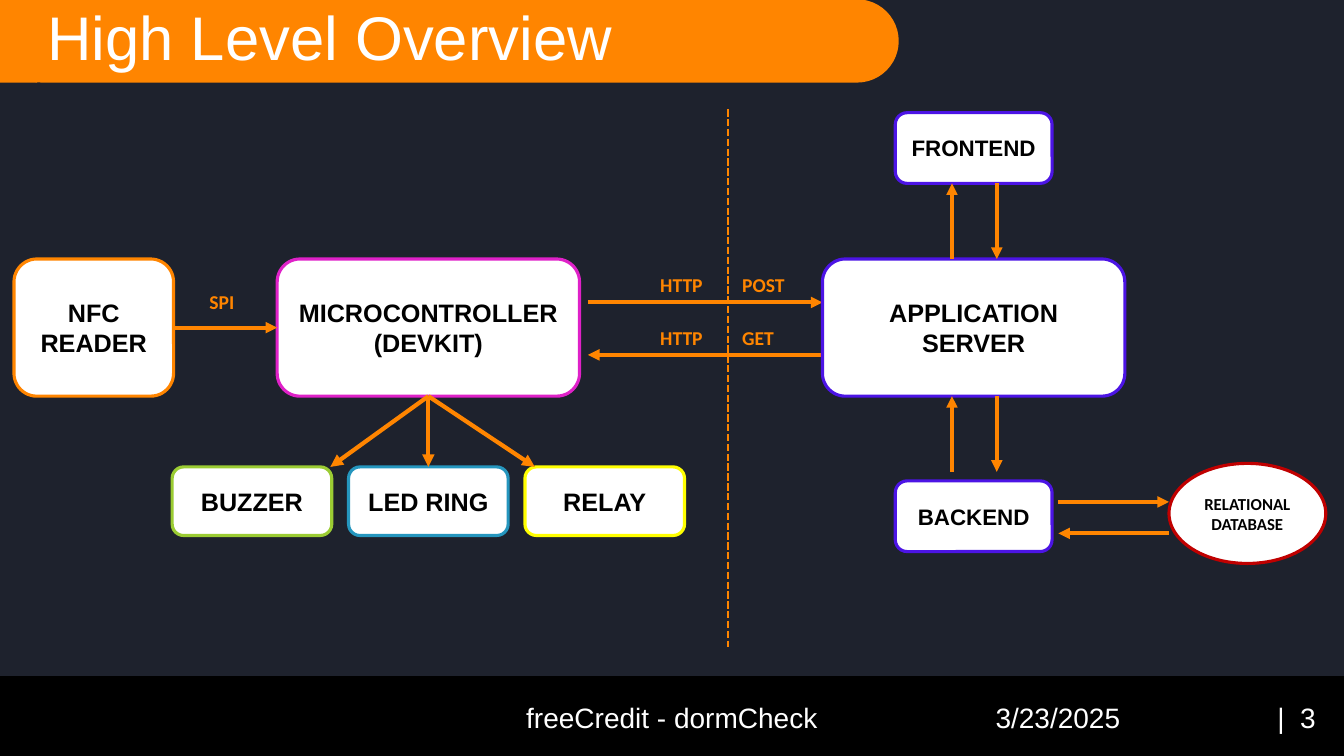
from collections import namedtuple

from lxml.etree import SubElement
from pptx import Presentation
from pptx.dml.color import RGBColor
from pptx.enum.dml import MSO_LINE
from pptx.enum.shapes import MSO_CONNECTOR, MSO_SHAPE
from pptx.enum.text import MSO_ANCHOR, MSO_AUTO_SIZE, PP_ALIGN
from pptx.oxml.ns import qn
from pptx.util import Pt

NAVY = RGBColor(0x1E, 0x22, 0x2D)
ORANGE = RGBColor(0xFF, 0x85, 0x00)
WHITE = RGBColor(0xFF, 0xFF, 0xFF)
BLACK = RGBColor(0x00, 0x00, 0x00)
MAGENTA = RGBColor(0xDF, 0x21, 0xC8)
GREEN = RGBColor(0x9B, 0xCC, 0x33)
BLUE = RGBColor(0x25, 0x96, 0xBE)
YELLOW = RGBColor(0xFF, 0xFF, 0x00)
VIOLET = RGBColor(0x4C, 0x14, 0xE5)
RED = RGBColor(0xC0, 0x00, 0x00)

Box = namedtuple("Box", "left top width height")


def points(*lengths):
    """Turn numbers into lengths in points."""
    return [Pt(length) for length in lengths]


def style_text(frame, size, color, font="Arial", bold=False, align=PP_ALIGN.LEFT):
    """Format every paragraph of a text frame alike."""
    for paragraph in frame.paragraphs:
        paragraph.alignment = align
        paragraph.font.name = font
        paragraph.font.size = Pt(size)
        paragraph.font.bold = bold
        paragraph.font.color.rgb = color


def add_panel(slide, kind, box, fill):
    """Add a shape with a plain fill and no outline."""
    shape = slide.shapes.add_shape(kind, *points(*box))
    shape.shadow.inherit = False
    shape.fill.solid()
    shape.fill.fore_color.rgb = fill
    shape.line.fill.background()
    return shape


def add_node(slide, box, text, outline, size=18, font="Arial",
             kind=MSO_SHAPE.ROUNDED_RECTANGLE, wrap=True):
    """Add a white, outlined and labelled node."""
    shape = add_panel(slide, kind, box, WHITE)
    shape.line.color.rgb = outline
    shape.line.width = Pt(2.25)
    frame = shape.text_frame
    frame.text = text
    frame.word_wrap = wrap
    frame.vertical_anchor = MSO_ANCHOR.MIDDLE
    style_text(frame, size, BLACK, font, True, PP_ALIGN.CENTER)
    return shape


def add_line(slide, start, end, width):
    """Add a straight orange line without a shadow."""
    line = slide.shapes.add_connector(MSO_CONNECTOR.STRAIGHT, *points(*start, *end))
    line.line.color.rgb = ORANGE
    line.line.width = Pt(width)
    SubElement(line._element.spPr, qn("a:effectLst"))
    return line


def add_arrow(slide, start, end, width=2.75):
    """Add a line with a triangular head at its end."""
    arrow = add_line(slide, start, end, width)
    SubElement(arrow.line._get_or_add_ln(), qn("a:tailEnd"), type="triangle")
    return arrow


def add_text(slide, box, text):
    """Add a single-line text box and return its frame."""
    frame = slide.shapes.add_textbox(*points(*box)).text_frame
    frame.text = text
    frame.word_wrap = True
    return frame


def add_label(slide, box, text, tab=None):
    """Add a bold orange caption, with an optional tab stop."""
    frame = add_text(slide, box, text)
    if tab:
        properties = frame.paragraphs[0]._p.get_or_add_pPr()
        tabs = SubElement(properties, qn("a:tabLst"))
        SubElement(tabs, qn("a:tab"), pos=str(Pt(tab)), algn="l")
    style_text(frame, 14, ORANGE, "Calibri", True)


def draw_header(slide, box):
    """Draw the title bar, rounded on its right end, and the title."""
    bar = add_panel(slide, MSO_SHAPE.ROUNDED_RECTANGLE, box, ORANGE)
    bar.adjustments[0] = 0.5
    indent = 26.5
    add_panel(slide, MSO_SHAPE.RECTANGLE, box._replace(width=indent), ORANGE)
    title = slide.shapes.title
    title.left, title.top, title.width, title.height = points(
        box.left + indent, box.top + 1, 933.5, 57.5)
    frame = title.text_frame
    frame.text = "High Level Overview"
    frame.auto_size = MSO_AUTO_SIZE.NONE
    frame.vertical_anchor = MSO_ANCHOR.MIDDLE
    frame.paragraphs[0].line_spacing = 0.9
    style_text(frame, 44, WHITE)
    slide.shapes._spTree.append(title._element)


def draw_footer(slide, box):
    """Draw the footer band with project, date and slide number."""
    add_panel(slide, MSO_SHAPE.RECTANGLE, box, BLACK)
    for left, width, text, align in (
        (318, 324, "freeCredit - dormCheck", PP_ALIGN.CENTER),
        (704, 115, "3/23/2025", PP_ALIGN.LEFT),
        (880.5, 66.5, "|  3", PP_ALIGN.RIGHT),
    ):
        frame = add_text(slide, Box(box.left + left, box.top + 14.5, width, 29), text)
        frame.vertical_anchor = MSO_ANCHOR.MIDDLE
        style_text(frame, 20, WHITE, align=align)


def draw_device(slide, box):
    """Draw the reader, the microcontroller and its outputs."""
    left, top, width, height = box
    reader_width, unit_height = 114, 98
    middle = top + unit_height / 2
    reader = add_node(slide, Box(left, top, reader_width, unit_height),
                      "NFC READER", ORANGE)
    controller = add_node(slide, Box(left + 188, top, 216, unit_height),
                          "MICROCONTROLLER\n(DEVKIT)", MAGENTA)
    link = add_arrow(slide, (left + reader_width, middle), (left + 188, middle))
    link.begin_connect(reader, 3)
    link.end_connect(controller, 1)
    add_label(slide, Box(left + 132.5, top + 18.5, 36, 24.5), "SPI")

    center, output_height, pitch = left + 296, 49, 126
    output_top = top + height - output_height
    outputs = (("BUZZER", GREEN, -70), ("LED RING", BLUE, 0), ("RELAY", YELLOW, 76))
    for index, (text, outline, offset) in enumerate(outputs):
        output_left = center - reader_width / 2 + (index - 1) * pitch
        output = add_node(slide, Box(output_left, output_top, reader_width, output_height),
                          text, outline, wrap=False)
        arrow = add_arrow(slide, (center, top + unit_height),
                          (center + offset, output_top), 3)
        arrow.begin_connect(controller, 2)
        if offset == 0:
            arrow.end_connect(output, 0)


def draw_requests(slide, box):
    """Draw the two requests between the device and the server."""
    left, top, width, height = box
    right, bottom = left + width, top + height
    for y, method, start, end in ((top, "POST", left, right),
                                  (bottom, "GET", right, left)):
        add_arrow(slide, (start, y), (end, y))
        add_label(slide, Box(left + 44.5, y - 24.5, 130, 24.5), f"HTTP\t{method}", 58.5)


def draw_service(slide, box):
    """Draw the server with frontend, backend and database."""
    left, top, width, height = box
    server_top, server_width, server_height = top + 104.5, 216, 98
    server_bottom = server_top + server_height
    side_width, side_height = 112, 50.5
    center = left + server_width / 2
    side_left = center - side_width / 2
    backend_top = top + height - side_height
    add_node(slide, Box(left, server_top, server_width, server_height),
             "APPLICATION SERVER", VIOLET)
    for y, text in ((top, "FRONTEND"), (backend_top, "BACKEND")):
        add_node(slide, Box(side_left, y, side_width, side_height), text, VIOLET, 16)
    for upper, lower in ((top + side_height, server_top),
                         (server_bottom, server_bottom + 54)):
        add_arrow(slide, (center - 15.5, lower), (center - 15.5, upper))
        add_arrow(slide, (center + 16.5, upper), (center + 16.5, lower))

    database_left = left + width - side_width
    add_node(slide, Box(database_left, backend_top - 12.5, side_width, 71.5),
             "RELATIONAL\nDATABASE", RED, 12, "Calibri", MSO_SHAPE.OVAL, False)
    near = database_left - 79
    add_arrow(slide, (near, backend_top + 15), (database_left, backend_top + 15))
    add_arrow(slide, (database_left, backend_top + 37.5), (near, backend_top + 37.5))


def main():
    """Build the slide and save it."""
    presentation = Presentation()
    presentation.slide_width, presentation.slide_height = points(960, 540)
    slide = presentation.slides.add_slide(presentation.slide_layouts[5])
    slide.background.fill.solid()
    slide.background.fill.fore_color.rgb = NAVY
    draw_header(slide, Box(0, -0.5, 642, 59.5))
    draw_footer(slide, Box(0, 483, 960, 57))
    divider = add_line(slide, (520, 78), (520, 462), 1.75)
    divider.line.dash_style = MSO_LINE.SQUARE_DOT
    draw_device(slide, Box(10, 185, 480, 197.5))
    draw_requests(slide, Box(420, 216, 167.5, 37.5))
    draw_service(slide, Box(587.5, 80.5, 359.5, 313.5))
    presentation.save("out.pptx")


if __name__ == "__main__":
    main()
